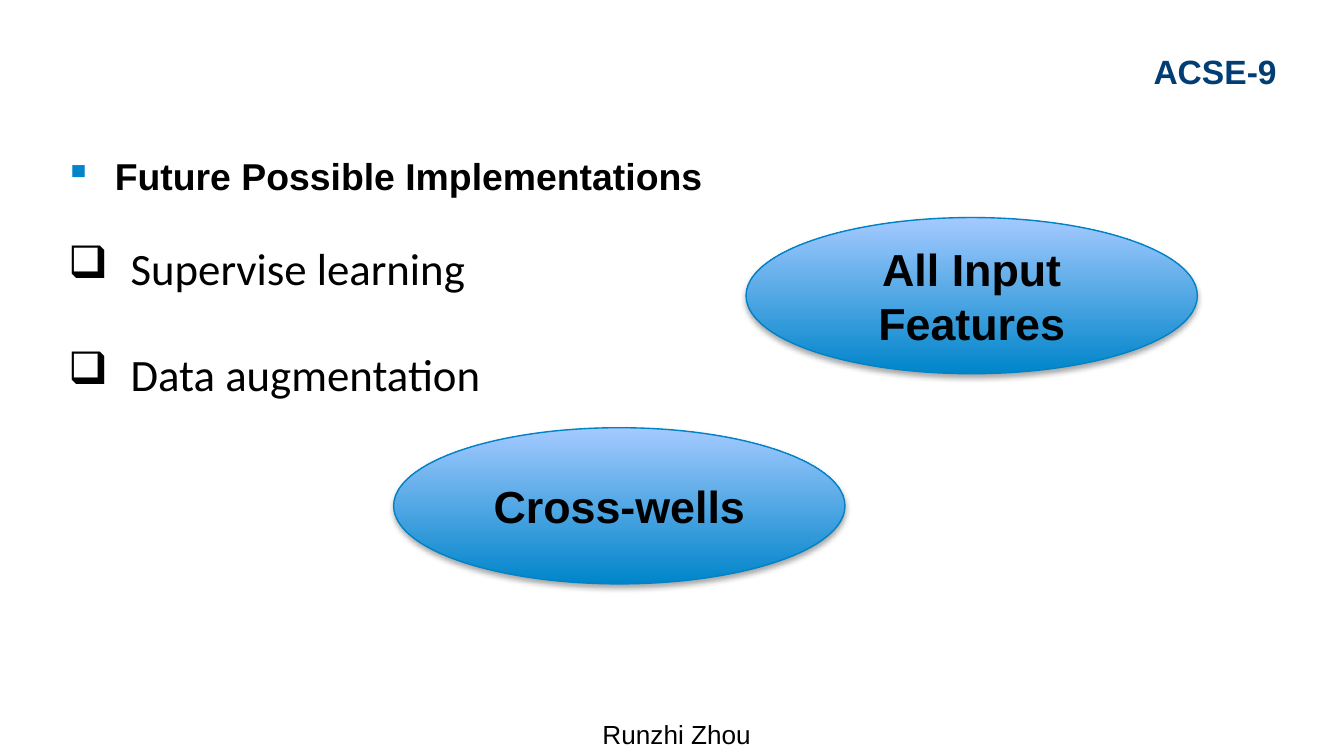
from dataclasses import dataclass
from typing import Optional

import pptx
import pptx.dml.color
import pptx.enum.shapes
import pptx.enum.text
import pptx.oxml
import pptx.oxml.ns
import pptx.util
from pptx.util import Cm, Pt

ALIGN = pptx.enum.text.PP_ALIGN
ANCHOR = pptx.enum.text.MSO_ANCHOR


@dataclass(frozen=True)
class Theme:
    heading_font: str = "Arial"
    body_font: str = "Calibri"
    black: str = "000000"
    navy: str = "003E74"
    blue: str = "0085CA"
    light_blue: str = "A4CAFF"
    outline: str = "0082C6"
    large: int = 24
    title: int = 20
    course: int = 18
    footer: int = 14


@dataclass(frozen=True)
class TextStyle:
    size: int
    font: str = Theme.heading_font
    color: str = Theme.black
    bold: bool = False
    align: ALIGN = ALIGN.LEFT


@dataclass(frozen=True)
class Bullet:
    char: str
    hang: float
    color: Optional[str] = None


@dataclass(frozen=True)
class Box:
    left: float
    top: float
    width: float
    height: float

    def lengths(self) -> tuple:
        return Cm(self.left), Cm(self.top), Cm(self.width), Cm(self.height)


@dataclass(frozen=True)
class Bubble:
    text: str
    left: float
    top: float


THEME = Theme()
BUBBLE_WIDTH, BUBBLE_HEIGHT = 8.53, 2.95
LABEL = TextStyle(THEME.large, bold=True, align=ALIGN.CENTER)
TITLE_BULLET = Bullet("▪", 0.95, THEME.blue)
TOPIC_BULLET = Bullet("❑", 1.18)
TOPICS = ("Supervise learning", "Data augmentation")
BUBBLES = (
    Bubble("Cross-wells", 7.44, 8.08),
    Bubble("All Input Features", 14.1, 4.11),
)


def rgb(value: str) -> pptx.dml.color.RGBColor:
    return pptx.dml.color.RGBColor.from_string(value)


def element(tag: str, body: str = "", attrs: str = ""):
    ns = pptx.oxml.ns.nsdecls("a")
    return pptx.oxml.parse_xml(f"<a:{tag} {ns} {attrs}>{body}</a:{tag}>")


def add_bullet(p, bullet: Bullet) -> None:
    pPr = p._p.get_or_add_pPr()
    pPr.set("marL", str(Cm(bullet.hang)))
    pPr.set("indent", str(-Cm(bullet.hang)))
    if bullet.color:
        pPr.append(element("buClr", f'<a:srgbClr val="{bullet.color}"/>'))
    pPr.append(element("buChar", attrs=f'char="{bullet.char}"'))


def write(p, text: str, style: TextStyle, bullet: Optional[Bullet] = None) -> None:
    if bullet:
        add_bullet(p, bullet)
    p.alignment = style.align
    r = p.add_run()
    r.text = text
    r.font.name = style.font
    r.font.size = Pt(style.size)
    r.font.bold = style.bold
    r.font.color.rgb = rgb(style.color)


def set_frame(tf, margin_x: float = 0, margin_top: float = 0.06) -> None:
    tf.word_wrap = True
    tf.auto_size = pptx.enum.text.MSO_AUTO_SIZE.NONE
    tf.vertical_anchor = ANCHOR.TOP
    tf.margin_left = tf.margin_right = Cm(margin_x)
    tf.margin_top = Cm(margin_top)
    tf.margin_bottom = 0


def add_line(s, box: Box, text: str, style: TextStyle) -> None:
    tf = s.shapes.add_textbox(*box.lengths()).text_frame
    set_frame(tf)
    write(tf.paragraphs[0], text, style)


def add_title(s, box: Box, text: str) -> None:
    sp = s.shapes.title
    sp.left, sp.top, sp.width, sp.height = box.lengths()
    set_frame(sp.text_frame)
    style = TextStyle(THEME.title, bold=True)
    write(sp.text_frame.paragraphs[0], text, style, TITLE_BULLET)


def add_topics(s, box: Box) -> None:
    tf = s.shapes.add_textbox(*box.lengths()).text_frame
    set_frame(tf, margin_x=0.25, margin_top=0.13)
    for i, topic in enumerate(TOPICS):
        p = tf.add_paragraph() if i else tf.paragraphs[0]
        write(p, topic, TextStyle(THEME.large, THEME.body_font), TOPIC_BULLET)
        if i:
            p.space_before = Pt(28)


def add_shadow(sp) -> None:
    """Replace the inherited shadow with a soft one falling straight down."""
    sp.shadow.inherit = False
    effects = sp._element.spPr.find(pptx.oxml.ns.qn("a:effectLst"))
    effects.append(element(
        "outerShdw",
        '<a:srgbClr val="000000"><a:alpha val="35000"/></a:srgbClr>',
        f'blurRad="{Pt(3.1)}" dist="{Pt(1.8)}" dir="5400000" rotWithShape="0"',
    ))


def add_bubble(s, bubble: Bubble) -> None:
    box = Box(bubble.left, bubble.top, BUBBLE_WIDTH, BUBBLE_HEIGHT)
    sp = s.shapes.add_shape(pptx.enum.shapes.MSO_SHAPE.OVAL, *box.lengths())
    sp.fill.gradient()
    sp.fill.gradient_angle = 90
    for stop, color in zip(sp.fill.gradient_stops, (THEME.blue, THEME.light_blue)):
        stop.color.rgb = rgb(color)
    sp.line.color.rgb = rgb(THEME.outline)
    sp.line.width = Pt(0.75)
    add_shadow(sp)
    sp.text_frame.word_wrap = True
    sp.text_frame.vertical_anchor = ANCHOR.MIDDLE
    write(sp.text_frame.paragraphs[0], bubble.text, LABEL)


def main() -> None:
    prs = pptx.Presentation()
    prs.slide_width, prs.slide_height = Cm(25.4), Cm(14.28)
    s = prs.slides.add_slide(prs.slide_layouts.get_by_name("Title Only"))
    add_title(s, Box(1.22, 2.84, 19.66, 1.27), "Future Possible Implementations")
    add_line(s, Box(17.6, 0.91, 6.53, 1.12), "ACSE-9",
             TextStyle(THEME.course, color=THEME.navy, bold=True, align=ALIGN.RIGHT))
    add_line(s, Box(1.04, 13.51, 23.5, 0.71), "Runzhi Zhou",
             TextStyle(THEME.footer, align=ALIGN.CENTER))
    add_topics(s, Box(1.04, 4.42, 23.85, 4.11))
    for bubble in BUBBLES:
        add_bubble(s, bubble)
    prs.save("out.pptx")


if __name__ == "__main__":
    main()
